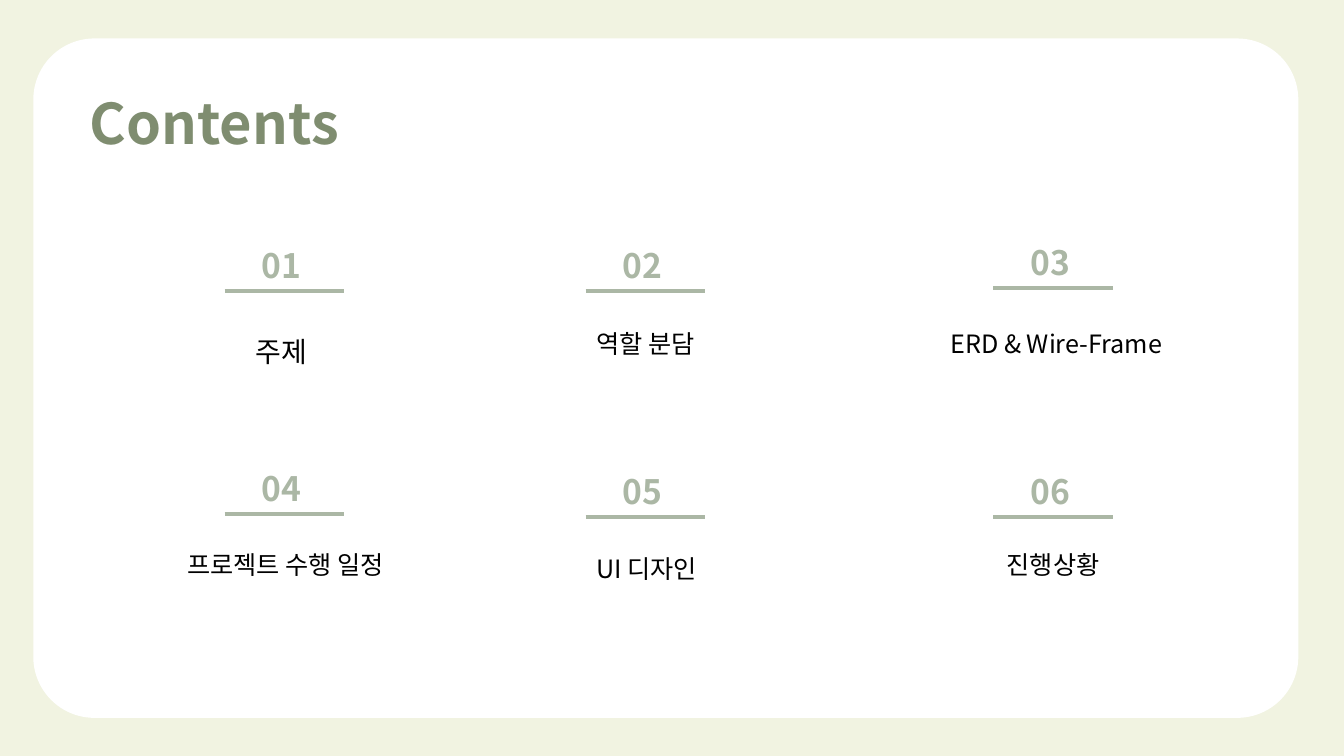
from dataclasses import dataclass

from lxml.etree import SubElement
from pptx import Presentation
from pptx.dml.color import RGBColor
from pptx.enum.shapes import MSO_CONNECTOR, MSO_SHAPE
from pptx.enum.text import MSO_ANCHOR, MSO_AUTO_SIZE, PP_ALIGN
from pptx.oxml.ns import qn
from pptx.shapes.base import BaseShape
from pptx.shapes.shapetree import GroupShapes
from pptx.slide import Slide
from pptx.util import Cm, Pt

FONT = "Noto Sans CJK KR"
CREAM, WHITE, BLACK = "F1F3E1", "FFFFFF", "000000"
OLIVE, SAGE = "7F8D70", "ABB7A5"
COLUMN_LEFTS = (5.66, 14.76, 25.03)
RULE_WIDTH = 3.01
NUMBER_INSET, NUMBER_RISE = 0.69, 1.8


@dataclass(frozen=True)
class Box:
    left: float
    top: float
    width: float
    height: float


@dataclass(frozen=True)
class TextStyle:
    size: float
    color: str
    bold: bool = False
    spacing: float = 1.0
    align: PP_ALIGN = PP_ALIGN.LEFT


@dataclass(frozen=True)
class Topic:
    label: str
    rule_top: float
    label_box: Box
    label_style: TextStyle


TITLE = TextStyle(40, OLIVE, bold=True)
NUMBER = TextStyle(24, SAGE, bold=True, spacing=1.5)
LABEL = TextStyle(18, BLACK)
LEAD_LABEL = TextStyle(20, BLACK, spacing=1.5)
CENTERED_LABEL = TextStyle(18, BLACK, align=PP_ALIGN.CENTER)

TOPICS = (
    Topic("주제", 7.34, Box(6.2, 7.87, 2.46, 1.42), LEAD_LABEL),
    Topic("역할 분담", 7.34, Box(14.78, 8.15, 3.66, 1.02), LABEL),
    Topic("ERD & Wire-Frame", 7.26, Box(23.7, 8.15, 6.43, 1.02), LABEL),
    Topic("프로젝트 수행 일정", 12.95, Box(4.47, 13.72, 6.2, 1.02), LABEL),
    Topic("UI 디자인", 13.03, Box(14.78, 13.82, 6.2, 1.02), LABEL),
    Topic("진행상황", 13.03, Box(23.44, 13.72, 6.2, 1.02), CENTERED_LABEL),
)


def rgb(color: str) -> RGBColor:
    return RGBColor.from_string(color)


def lengths(box: Box) -> tuple[Cm, Cm, Cm, Cm]:
    return Cm(box.left), Cm(box.top), Cm(box.width), Cm(box.height)


def apply_format(target: object, values: dict[str, object]) -> None:
    for attribute, value in values.items():
        setattr(target, attribute, value)


def write_text(holder: BaseShape, text: str, style: TextStyle) -> None:
    frame = holder.text_frame
    apply_format(frame, {
        "word_wrap": True,
        "auto_size": MSO_AUTO_SIZE.SHAPE_TO_FIT_TEXT,
        "vertical_anchor": MSO_ANCHOR.TOP,
    })
    paragraph = frame.paragraphs[0]
    apply_format(paragraph, {
        "alignment": style.align,
        "line_spacing": style.spacing,
        "space_before": Pt(0),
    })
    run = paragraph.add_run()
    run.text = text
    apply_format(run.font, {"name": FONT, "size": Pt(style.size), "bold": style.bold})
    run.font.color.rgb = rgb(style.color)
    SubElement(run._r.get_or_add_rPr(), qn("a:ea"), typeface=FONT)


def draw_card(slide: Slide) -> None:
    card = slide.shapes.add_shape(
        MSO_SHAPE.ROUNDED_RECTANGLE, *lengths(Box(0.84, 0.97, 31.88, 17.12)))
    card.adjustments[0] = 0.09
    card.shadow.inherit = False
    card.fill.solid()
    card.fill.fore_color.rgb = rgb(WHITE)
    card.line.fill.background()
    tree = slide.shapes._spTree
    tree.remove(card._element)
    tree.insert(2, card._element)


def draw_title(slide: Slide) -> None:
    title = slide.shapes.title
    left, top, width, height = lengths(Box(2.01, 2.11, 7.14, 1.96))
    apply_format(title, {"left": left, "top": top, "width": width, "height": height})
    write_text(title, "Contents", TITLE)


def draw_rule(shapes: GroupShapes, left: float, top: float) -> None:
    rule = shapes.add_connector(
        MSO_CONNECTOR.STRAIGHT, Cm(left), Cm(top), Cm(left + RULE_WIDTH), Cm(top))
    rule.line.color.rgb = rgb(SAGE)
    rule.line.width = Pt(3)
    SubElement(rule._element.spPr, qn("a:effectLst"))


def draw_topic(slide: Slide, index: int, topic: Topic) -> None:
    shapes = slide.shapes.add_group_shape().shapes
    left = COLUMN_LEFTS[index % len(COLUMN_LEFTS)]
    draw_rule(shapes, left, topic.rule_top)
    number_box = Box(left + NUMBER_INSET, topic.rule_top - NUMBER_RISE, 2.03, 1.65)
    number = shapes.add_textbox(*lengths(number_box))
    write_text(number, f"{index + 1:02d}", NUMBER)
    label = shapes.add_textbox(*lengths(topic.label_box))
    write_text(label, topic.label, topic.label_style)


def main() -> None:
    deck = Presentation()
    apply_format(deck, {"slide_width": Cm(33.87), "slide_height": Cm(19.05)})
    slide = deck.slides.add_slide(deck.slide_layouts.get_by_name("Title Only"))
    slide.background.fill.solid()
    slide.background.fill.fore_color.rgb = rgb(CREAM)
    draw_card(slide)
    draw_title(slide)
    for index, topic in enumerate(TOPICS):
        draw_topic(slide, index, topic)
    deck.save("out.pptx")


if __name__ == "__main__":
    main()
